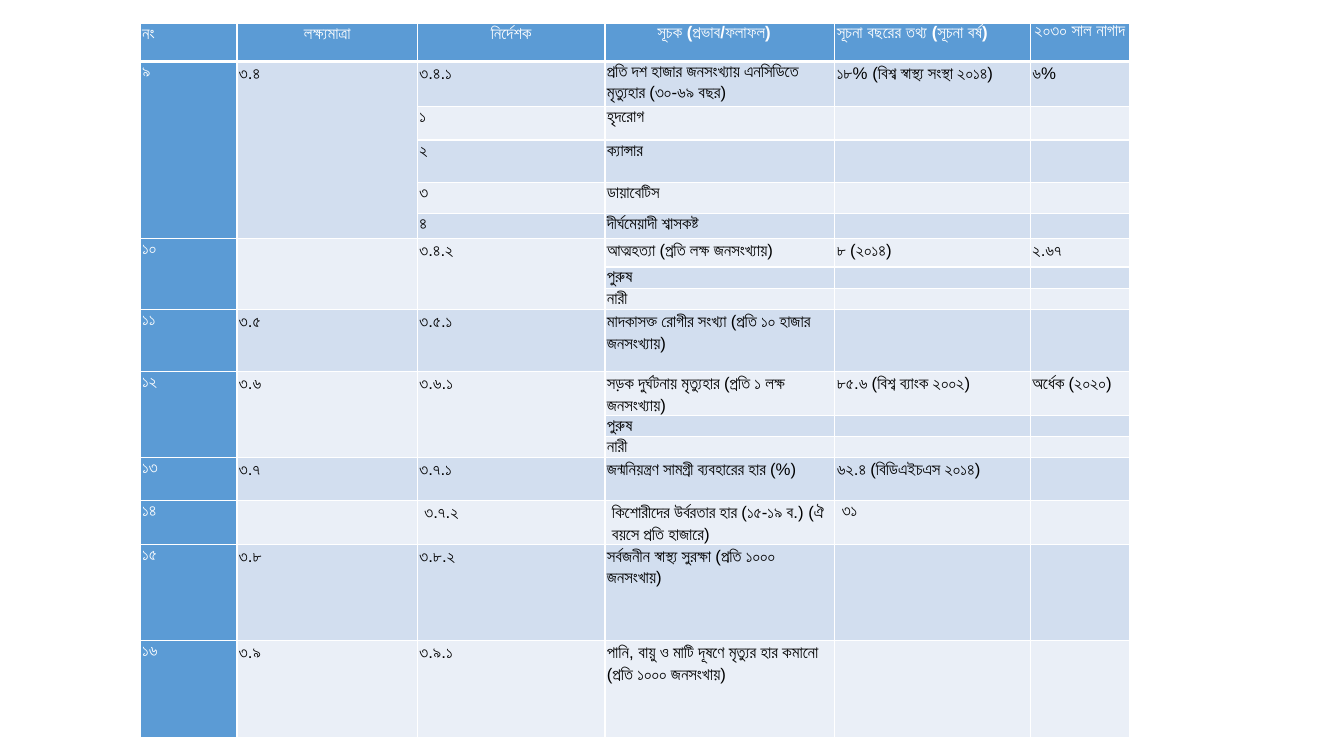
from dataclasses import dataclass

from lxml import etree
from pptx import Presentation
from pptx.dml.color import RGBColor
from pptx.enum.text import PP_ALIGN
from pptx.oxml.ns import qn
from pptx.table import Table, _Cell
from pptx.util import Inches, Pt

CENTER = PP_ALIGN.CENTER
LEFT = PP_ALIGN.LEFT


@dataclass(frozen=True)
class Theme:
    font: str = "Arial"
    size: int = 12
    line_spacing: float = 1.15
    accent: str = "5B9BD5"
    bands: tuple[str, str] = ("EAEFF7", "D2DEEF")
    light: str = "FFFFFF"
    dark: str = "000000"
    thin: float = 1
    thick: float = 3
    inset: float = 0.02


@dataclass(frozen=True)
class Heading:
    text: str
    width: float
    align: PP_ALIGN = LEFT
    spacing: float = 1.0
    indent: float = 0


@dataclass(frozen=True)
class Row:
    """Body row; its first merged_columns cells extend over span rows."""
    height: float
    number: str = ""
    target: str = ""
    indicator: str = ""
    measure: str = ""
    baseline: str = ""
    goal: str = ""
    span: int = 1
    merged_columns: int = 0
    inset: float = 0.02

    def texts(self) -> tuple[str, ...]:
        return (self.number, self.target, self.indicator,
                self.measure, self.baseline, self.goal)


THEME = Theme()
HEADER_HEIGHT = 0.38
HEADINGS = [
    Heading("নং", 0.96, spacing=THEME.line_spacing),
    Heading("লক্ষ্যমাত্রা", 1.79, CENTER, THEME.line_spacing),
    Heading("নির্দেশক", 1.86, CENTER, THEME.line_spacing),
    Heading("সূচক (প্রভাব/ফলাফল)", 2.28, indent=0.5),
    Heading("সূচনা বছরের তথ্য (সূচনা বর্ষ)", 1.94),
    Heading("২০৩০ সাল নাগাদ", 0.98, CENTER),
]
ROWS = [
    Row(0.45, "৯", "৩.৪", "৩.৪.১",
        "প্রতি দশ হাজার জনসংখ্যায় এনসিডিতে মৃত্যুহার (৩০-৬৯ বছর)",
        "১৮% (বিশ্ব স্বাস্থ্য সংস্থা ২০১৪)", "৬%", span=5, merged_columns=2),
    Row(0.33, indicator="১", measure="হৃদরোগ"),
    Row(0.42, indicator="২", measure="ক্যান্সার"),
    Row(0.31, indicator="৩", measure="ডায়াবেটিস"),
    Row(0.25, indicator="৪", measure="দীর্ঘমেয়াদী শ্বাসকষ্ট"),
    Row(0.28, "১০", "", "৩.৪.২", "আত্মহত্যা (প্রতি লক্ষ জনসংখ্যায়)",
        "৮ (২০১৪)", "২.৬৭", span=3, merged_columns=3),
    Row(0.21, measure="পুরুষ"),
    Row(0.21, measure="নারী"),
    Row(0.62, "১১", "৩.৫", "৩.৫.১",
        "মাদকাসক্ত রোগীর সংখ্যা (প্রতি ১০ হাজার জনসংখ্যায়)"),
    Row(0.43, "১২", "৩.৬", "৩.৬.১",
        "সড়ক দুর্ঘটনায় মৃত্যুহার (প্রতি ১ লক্ষ জনসংখ্যায়)",
        "৮৫.৬ (বিশ্ব ব্যাংক ২০০২)", "অর্ধেক (২০২০)", span=3, merged_columns=3),
    Row(0.21, measure="পুরুষ"),
    Row(0.21, measure="নারী"),
    Row(0.43, "১৩", "৩.৭", "৩.৭.১", "জন্মনিয়ন্ত্রণ সামগ্রী ব্যবহারের হার (%)",
        "৬২.৪ (বিডিএইচএস ২০১৪)"),
    Row(0.43, "১৪", "", "৩.৭.২",
        "কিশোরীদের উর্বরতার হার (১৫-১৯ ব.) (ঐ বয়সে প্রতি হাজারে)",
        "৩১", inset=0.07),
    Row(0.96, "১৫", "৩.৮", "৩.৮.২",
        "সর্বজনীন স্বাস্থ্য সুরক্ষা (প্রতি ১০০০ জনসংখায়)"),
    Row(0.96, "১৬", "৩.৯", "৩.৯.১",
        "পানি, বায়ু ও মাটি দূষণে মৃত্যুর হার কমানো (প্রতি ১০০০ জনসংখায়)"),
]


def set_borders(cell: _Cell, top: float, bottom: float) -> None:
    tc_pr = cell._tc.get_or_add_tcPr()
    widths = {"a:lnL": THEME.thin, "a:lnR": THEME.thin, "a:lnT": top, "a:lnB": bottom}
    for i, (tag, width) in enumerate(widths.items()):
        ln = etree.Element(qn(tag), w=str(Pt(width)))
        fill = etree.SubElement(ln, qn("a:solidFill"))
        etree.SubElement(fill, qn("a:srgbClr"), val=THEME.light)
        tc_pr.insert(i, ln)


def fill_cell(cell: _Cell, text: str, fill: str, accented: bool,
              inset: float = THEME.inset, spacing: float = THEME.line_spacing,
              align: PP_ALIGN = LEFT) -> None:
    cell.fill.solid()
    cell.fill.fore_color.rgb = RGBColor.from_string(fill)
    cell.margin_left = cell.margin_right = Inches(inset)
    cell.margin_top = cell.margin_bottom = 0
    p = cell.text_frame.paragraphs[0]
    if not text:
        # An empty cell needs a small end mark, or its row grows.
        etree.SubElement(p._p, qn("a:endParaRPr"), sz=str(THEME.size * 100))
        return
    p.text = text
    p.alignment = align
    p.line_spacing = spacing
    font = p.runs[0].font
    font.name = THEME.font
    font.size = Pt(THEME.size)
    font.bold = accented
    font.color.rgb = RGBColor.from_string(THEME.light if accented else THEME.dark)


def add_header(table: Table) -> None:
    table.rows[0].height = Inches(HEADER_HEIGHT)
    for c, heading in enumerate(HEADINGS):
        table.columns[c].width = Inches(heading.width)
        cell = table.cell(0, c)
        fill_cell(cell, heading.text, THEME.accent, True,
                  spacing=heading.spacing, align=heading.align)
        if heading.indent:
            p_pr = cell.text_frame.paragraphs[0]._p.get_or_add_pPr()
            p_pr.set("marL", str(Inches(heading.indent)))
        set_borders(cell, THEME.thin, THEME.thick)


def add_row(table: Table, r: int, row: Row) -> None:
    table.rows[r].height = Inches(row.height)
    for c, text in enumerate(row.texts()):
        cell = table.cell(r, c)
        is_number = c == 0
        fill_cell(cell, text, THEME.accent if is_number else THEME.bands[r % 2],
                  is_number, THEME.inset if is_number else row.inset)
        set_borders(cell, THEME.thick if r == 1 else THEME.thin, THEME.thin)
    for c in range(row.merged_columns):
        table.cell(r, c).merge(table.cell(r + row.span - 1, c))


def main() -> None:
    prs = Presentation()
    prs.slide_width, prs.slide_height = Inches(13.33), Inches(7.5)
    s = prs.slides.add_slide(prs.slide_layouts[6])
    width = sum(h.width for h in HEADINGS)
    height = HEADER_HEIGHT + sum(row.height for row in ROWS)
    table = s.shapes.add_table(len(ROWS) + 1, len(HEADINGS), Inches(1.39), Inches(0.23),
                               Inches(width), Inches(height)).table
    add_header(table)
    for r, row in enumerate(ROWS, start=1):
        add_row(table, r, row)
    prs.save("out.pptx")


if __name__ == "__main__":
    main()
